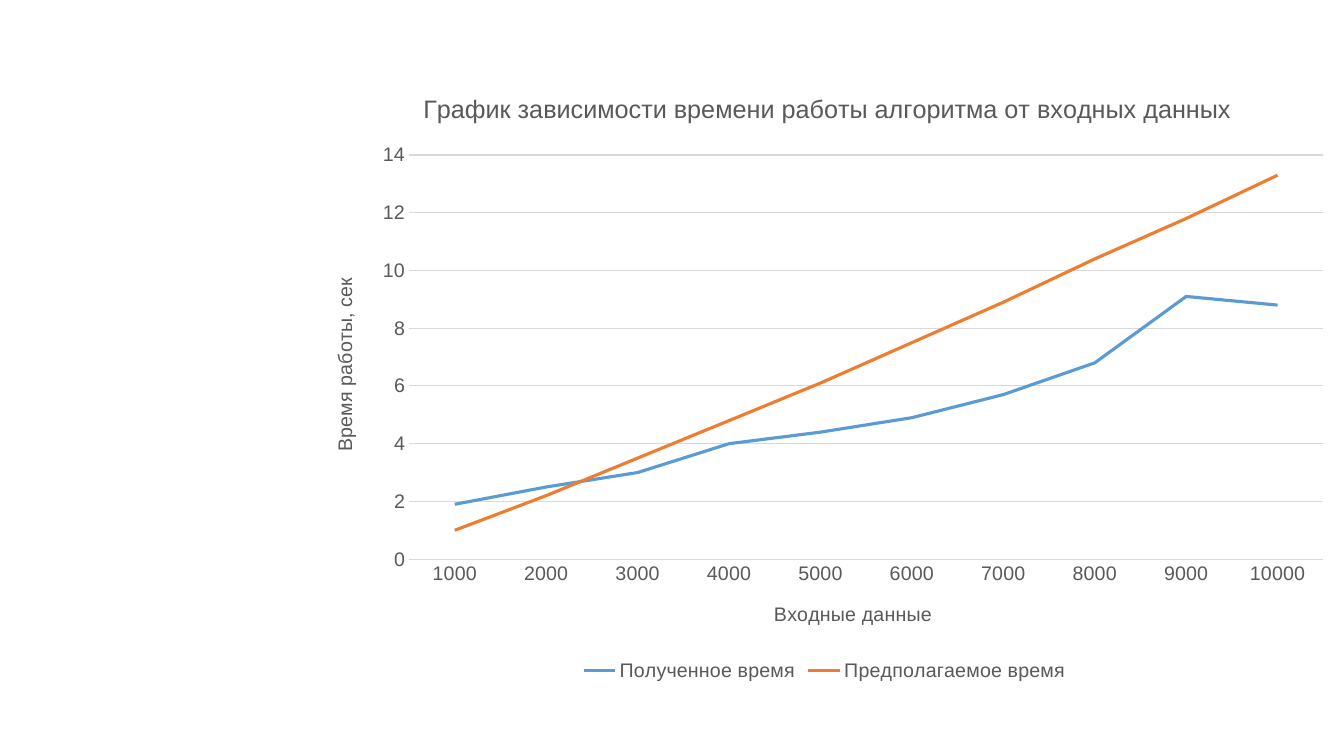
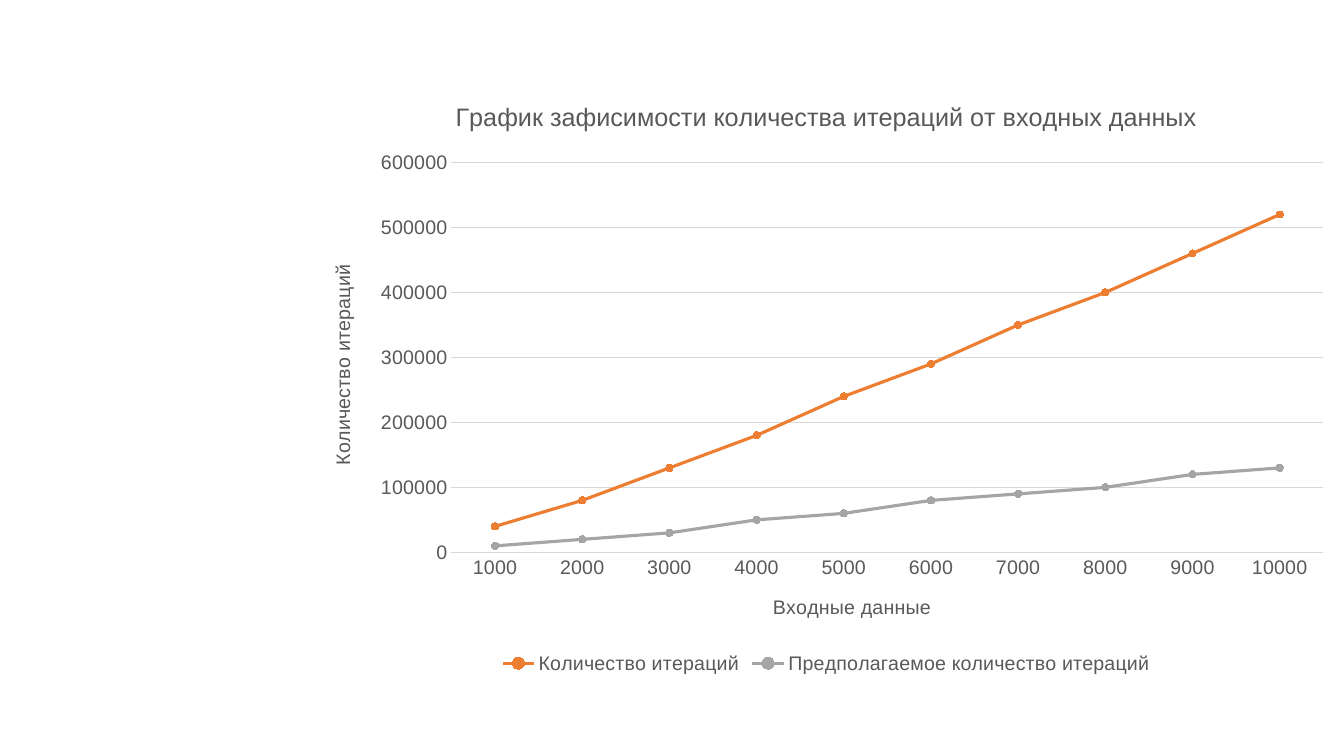
from dataclasses import dataclass

from pptx import Presentation
from pptx.chart.data import CategoryChartData
from pptx.dml.color import RGBColor
from pptx.enum.chart import (XL_CHART_TYPE, XL_LEGEND_POSITION,
                             XL_MARKER_STYLE, XL_TICK_MARK)
from pptx.util import Inches, Pt

INPUT_SIZES = [str(size) for size in range(1000, 10001, 1000)]
INPUT_AXIS_TITLE = "Входные данные"

CHARTS = [
    {
        "title": "График зависимости времени работы алгоритма от входных данных",
        "value_title": "Время работы, сек",
        "box": (3.08, 0.7, 10.25, 6.1),
        "maximum": 14,
        "step": 2,
        "markers": False,
        "series": [
            ("Полученное время", "blue",
             [1.9, 2.5, 3, 4, 4.4, 4.9, 5.7, 6.8, 9.1, 8.8]),
            ("Предполагаемое время ", "orange",
             [1, 2.2, 3.5, 4.8, 6.1, 7.5, 8.9, 10.4, 11.8, 13.3]),
        ],
    },
    {
        "title": "График зафисимости количества итераций от входных данных",
        "value_title": "Количество итераций",
        "box": (3.06, 0.78, 10.27, 5.95),
        "maximum": 600000,
        "step": 100000,
        "markers": True,
        "series": [
            ("Количество\u00a0итераций", "orange",
             [40000, 80000, 130000, 180000, 240000,
              290000, 350000, 400000, 460000, 520000]),
            ("Предполагаемое\u00a0количество\u00a0итераций", "gray",
             [10000, 20000, 30000, 50000, 60000,
              80000, 90000, 100000, 120000, 130000]),
        ],
    },
]


@dataclass(frozen=True)
class Theme:
    """Colours, font and sizes shared by all slides."""
    font: str = "Arial"
    title_size: int = 18
    text_size: int = 14
    marker_size: int = 5
    series_width: float = 2.25
    grid_width: float = 0.75
    text: RGBColor = RGBColor.from_string("595959")
    grid: RGBColor = RGBColor.from_string("D9D9D9")
    background: RGBColor = RGBColor.from_string("FFFFFF")
    blue: RGBColor = RGBColor.from_string("5B9BD5")
    orange: RGBColor = RGBColor.from_string("ED7D31")
    gray: RGBColor = RGBColor.from_string("A5A5A5")


THEME = Theme()


def style_font(font, size=THEME.text_size):
    """Apply the theme's plain text style."""
    font.name = THEME.font
    font.size = Pt(size)
    font.bold = False
    font.color.rgb = THEME.text


def style_line(line, color, width):
    """Give a line its colour and width."""
    line.color.rgb = color
    line.width = Pt(width)


def write_title(title, text, size=THEME.text_size):
    """Write a chart or axis title."""
    paragraph = title.text_frame.paragraphs[0]
    paragraph.add_run().text = text
    style_font(paragraph.font, size)


def style_axis(axis, title):
    """Set the title, labels and tick marks of an axis."""
    write_title(axis.axis_title, title)
    style_font(axis.tick_labels.font)
    axis.major_tick_mark = axis.minor_tick_mark = XL_TICK_MARK.NONE


def style_series(series, color, markers):
    """Draw a series as straight segments, with round markers if asked."""
    series.smooth = False
    style_line(series.format.line, color, THEME.series_width)
    if markers:
        marker = series.marker
        marker.style = XL_MARKER_STYLE.CIRCLE
        marker.size = THEME.marker_size
        marker.format.fill.solid()
        marker.format.fill.fore_color.rgb = color
        marker.format.line.color.rgb = color


def add_line_chart(slide, content):
    """Add one line chart with its axes, title and legend."""
    data = CategoryChartData()
    data.categories = INPUT_SIZES
    for name, _, values in content["series"]:
        data.add_series(name, values)
    markers = content["markers"]
    kind = XL_CHART_TYPE.LINE_MARKERS if markers else XL_CHART_TYPE.LINE
    box = [Inches(length) for length in content["box"]]
    chart = slide.shapes.add_chart(kind, *box, data).chart

    style_font(chart.font)
    write_title(chart.chart_title, content["title"], THEME.title_size)
    chart.chart_title.include_in_layout = False
    chart.has_legend = True
    chart.legend.position = XL_LEGEND_POSITION.BOTTOM
    chart.legend.include_in_layout = False
    style_font(chart.legend.font)

    style_axis(chart.category_axis, INPUT_AXIS_TITLE)
    style_line(chart.category_axis.format.line, THEME.grid, THEME.grid_width)

    value_axis = chart.value_axis
    style_axis(value_axis, content["value_title"])
    value_axis.axis_title.text_frame._txBody.bodyPr.set("rot", "-5400000")
    value_axis.format.line.fill.background()
    value_axis.minimum_scale = 0
    value_axis.maximum_scale = content["maximum"]
    value_axis.major_unit = content["step"]
    style_line(value_axis.major_gridlines.format.line, THEME.grid, THEME.grid_width)

    plot = chart.plots[0]
    plot.vary_by_categories = False
    for series, (_, color, _) in zip(plot.series, content["series"]):
        style_series(series, getattr(THEME, color), markers)


def build():
    """Build and save the presentation."""
    presentation = Presentation()
    presentation.slide_width = Inches(13.33)
    presentation.slide_height = Inches(7.5)
    background = presentation.slide_master.background.fill
    background.solid()
    background.fore_color.rgb = THEME.background
    for content in CHARTS:
        slide = presentation.slides.add_slide(presentation.slide_layouts[6])
        add_line_chart(slide, content)
    presentation.save("out.pptx")


build()
